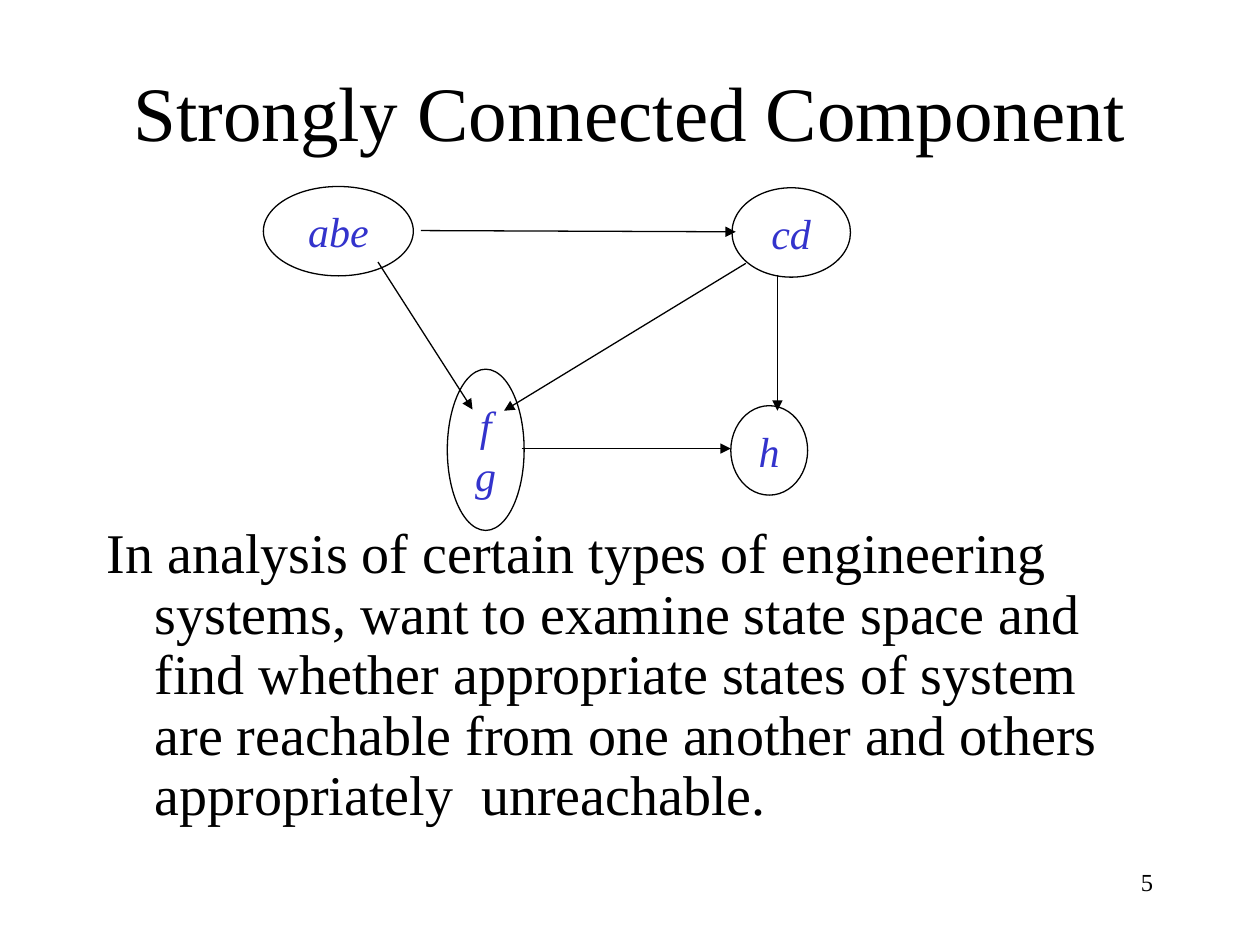
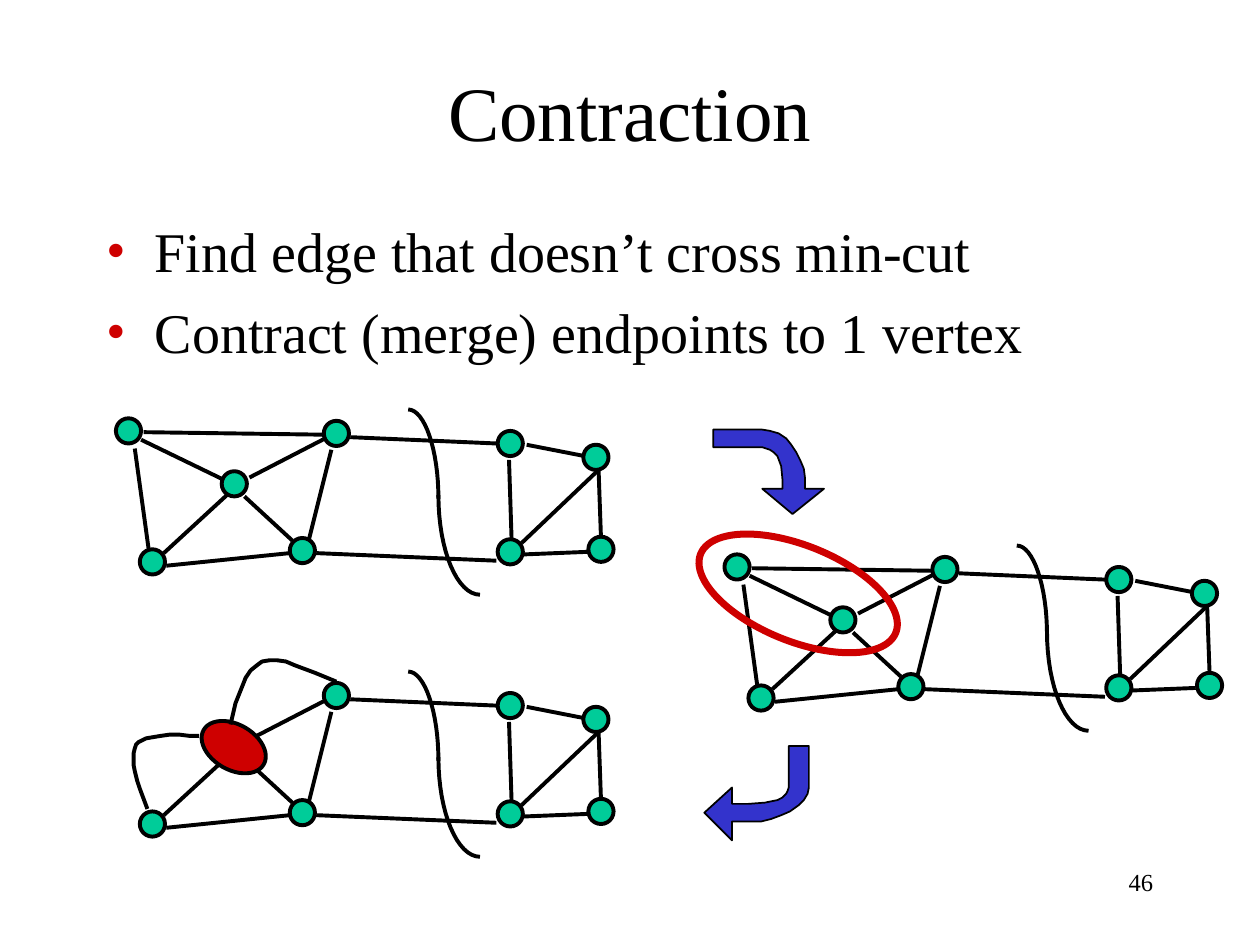
from dataclasses import dataclass

from lxml import etree
from pptx import Presentation
from pptx.dml.color import RGBColor
from pptx.enum.shapes import MSO_CONNECTOR, MSO_SHAPE
from pptx.enum.text import MSO_ANCHOR, PP_ALIGN
from pptx.oxml.ns import qn
from pptx.util import Emu, Pt

OVAL, STRAIGHT = MSO_SHAPE.OVAL, MSO_CONNECTOR.STRAIGHT
LEFT, CENTER, RIGHT = PP_ALIGN.LEFT, PP_ALIGN.CENTER, PP_ALIGN.RIGHT
TOP, MIDDLE = MSO_ANCHOR.TOP, MSO_ANCHOR.MIDDLE
EMU_PER_PX = 9144  # 100 px to the inch


@dataclass(frozen=True)
class Theme:
    font: str = "Times New Roman"
    black: str = "000000"
    blue: str = "3333CC"
    red: str = "CE0000"
    green: str = "00CC99"
    title: int = 44
    body: int = 32
    label: int = 24
    number: int = 14
    thin: float = 0.75
    outline: float = 1
    thick: float = 2.25
    ring: float = 4


THEME = Theme()
SLIDE_SIZE = (1000, 750)
TITLE_BOX = (75, 25, 850, 125)
NUMBER_BOX = (717, 683, 208, 50)
HANGING = 38

COMPONENTS = {
    "title": "Strongly Connected Component",
    "number": "5",
    "body_box": (75, 412, 850, 255),
    "body": ["In analysis of certain types of engineering systems, want to examine "
             "state space and find whether appropriate states of system are reachable "
             "from one another and others appropriately  unreachable."],
    "states": [("abe", (209, 148, 119, 71)), ("fg", (355, 293, 61, 128)),
               ("cd", (581, 149, 94, 71)), ("h", (580, 322, 61, 71))],
    "arrows": [(334, 183, 584, 184), (300, 208, 375, 325), (592, 209, 400, 326),
               (617, 218, 617, 326), (414, 356, 580, 356)],
}

CONTRACTION = {
    "title": "Contraction",
    "number": "46",
    "body_box": (75, 167, 850, 500),
    "body": ["Find edge that doesn’t cross min-cut",
             "Contract (merge) endpoints to 1 vertex"],
}

# Left and top of each vertex in the first graph
VERTEX_SIZE = 20
VERTICES = {
    "outer": (92, 332), "hub": (176, 374), "low": (111, 436),
    "inner": (230, 427), "high": (257, 334), "cut_top": (395, 342),
    "cut_low": (395, 428), "far_top": (463, 353), "far_low": (467, 426),
}
EDGES = [
    ("outer", "hub", (112, 349, 176, 380)),
    ("outer", "low", (107, 356, 118, 436)),
    ("outer", "high", (114, 343, 258, 345)),
    ("low", "inner", (132, 449, 230, 439)),
    ("hub", "inner", (194, 394, 232, 429)),
    ("inner", "high", (245, 429, 263, 357)),
    ("high", "hub", (258, 348, 198, 379)),
    ("hub", "low", (180, 393, 130, 439)),
    ("high", "cut_top", (278, 347, 394, 352)),
    ("cut_top", "far_top", (418, 353, 464, 362)),
    ("far_top", "cut_low", (474, 374, 414, 431)),
    ("cut_top", "cut_low", (404, 365, 406, 427)),
    ("cut_low", "inner", (394, 445, 251, 439)),
    ("cut_low", "far_low", (416, 440, 466, 438)),
    ("far_low", "far_top", (477, 427, 475, 371)),
]
MIN_CUT = [
    [(324, 325), (337, 325), (348, 357), (348, 396)],
    [(381, 472), (363, 472), (348, 437), (348, 393)],
]
# Offset of each graph, and the vertices merged away in it
GRAPHS = [((483, 108), ()), ((0, 0), ()), ((0, 208), ("outer", "hub"))]

CHOSEN_EDGE = ((550, 433, 167, 76), 22)
MERGED_VERTEX = ((158, 575, 55, 36), 30)
REROUTED_EDGES = [
    [(117, 642), (114, 634), (111, 626), (109, 620), (107, 612), (106, 607), (106, 598),
     (107, 594), (108, 591), (110, 589), (112, 588), (116, 586), (122, 585), (128, 584),
     (135, 583), (142, 583), (150, 584), (158, 584)],
    [(267, 541), (250, 534), (234, 528), (227, 525), (220, 524), (214, 524), (208, 525),
     (204, 528), (199, 532), (195, 538), (193, 543), (187, 558), (183, 575)],
]
STEP_ARROWS = [
    [(629, 408), (654, 388), (639, 388), (639, 380), (638, 372), (635, 365), (632, 359),
     (628, 353), (624, 348), (618, 344), (611, 342), (605, 341), (566, 341), (566, 355),
     (605, 355), (608, 356), (611, 357), (614, 359), (617, 362), (620, 370), (621, 380),
     (621, 388), (605, 388)],
    [(559, 645), (581, 667), (581, 652), (594, 652), (604, 652), (612, 650), (620, 647),
     (627, 644), (634, 639), (638, 635), (641, 630), (642, 625), (642, 592), (626, 592),
     (626, 625), (625, 628), (624, 630), (621, 633), (617, 635), (607, 637), (594, 638),
     (581, 638), (581, 625)],
]


def px(length):
    return Emu(round(length * EMU_PER_PX))


def color(code):
    return RGBColor.from_string(code)


def write(frame, paragraphs, size, ink=THEME.black, align=LEFT, anchor=TOP, italic=False,
          hanging=False, bullet=None, spacing=None, before=0):
    frame.word_wrap = True
    frame.vertical_anchor = anchor
    for index, text in enumerate(paragraphs):
        para = frame.add_paragraph() if index else frame.paragraphs[0]
        para.alignment = align
        para.space_before = Pt(before)
        if spacing:
            para.line_spacing = spacing
        if hanging:
            props = para._p.get_or_add_pPr()
            props.set("marL", str(px(HANGING)))
            props.set("indent", str(-px(HANGING)))
        if bullet:
            add_bullet(para, bullet)
        span = para.add_run()
        span.text = text
        span.font.name = THEME.font
        span.font.size = Pt(size)
        span.font.italic = italic
        span.font.color.rgb = color(ink)


def add_bullet(para, ink):
    props = para._p.get_or_add_pPr()
    shade = etree.SubElement(props, qn("a:buClr"))
    etree.SubElement(shade, qn("a:srgbClr"), val=ink)
    etree.SubElement(props, qn("a:buFont"), typeface=THEME.font)
    etree.SubElement(props, qn("a:buChar"), char="•")


def add_text(page, bounds, paragraphs, size, **style):
    box = page.shapes.add_textbox(*map(px, bounds))
    write(box.text_frame, paragraphs, size, **style)


def paint(shape, width, fill=None, line=THEME.black):
    shape.shadow.inherit = False
    if fill:
        shape.fill.solid()
        shape.fill.fore_color.rgb = color(fill)
    else:
        shape.fill.background()
    shape.line.color.rgb = color(line)
    shape.line.width = Pt(width)


def add_oval(page, bounds, width, rotation=0, **style):
    oval = page.shapes.add_shape(OVAL, *map(px, bounds))
    oval.rotation = rotation
    paint(oval, width, **style)
    return oval


def add_line(page, ends, width, arrow=False):
    line = page.shapes.add_connector(STRAIGHT, *map(px, ends))
    line.line.color.rgb = color(THEME.black)
    line.line.width = Pt(width)
    if arrow:
        etree.SubElement(line.line._get_or_add_ln(), qn("a:tailEnd"), type="triangle")
    etree.SubElement(line._element.spPr, qn("a:effectLst"))


def add_outline(page, points, width, close=False, **style):
    start, *rest = [(px(x), px(y)) for x, y in points]
    builder = page.shapes.build_freeform(*start, scale=1.0)
    builder.add_line_segments(rest, close=close)
    paint(builder.convert_to_shape(), width, **style)


def bezier(controls, steps=16):
    """Return points along a cubic curve with four control points."""
    points = []
    for step in range(steps + 1):
        t = step / steps
        weights = ((1 - t) ** 3, 3 * t * (1 - t) ** 2, 3 * t * t * (1 - t), t ** 3)
        points.append(tuple(sum(w * c for w, c in zip(weights, axis))
                            for axis in zip(*controls)))
    return points


def add_graph(page, offset, merged):
    """Draw the graph moved by offset, without merged vertices and lost edges."""
    dx, dy = offset
    for start, end, (x1, y1, x2, y2) in EDGES:
        if not merged or "outer" not in (start, end):
            add_line(page, (x1 + dx, y1 + dy, x2 + dx, y2 + dy), THEME.thick)
    for controls in MIN_CUT:
        moved = [(x + dx, y + dy) for x, y in controls]
        add_outline(page, bezier(moved), THEME.thick)
    for name, (x, y) in VERTICES.items():
        if name not in merged:
            add_oval(page, (x + dx, y + dy, VERTEX_SIZE, VERTEX_SIZE), THEME.thick,
                     fill=THEME.green)


def add_page(deck, content, **body_style):
    page = deck.slides.add_slide(deck.slide_layouts[6])
    add_text(page, TITLE_BOX, [content["title"]], THEME.title, align=CENTER, anchor=MIDDLE)
    add_text(page, content["body_box"], content["body"], THEME.body, hanging=True,
             before=8, **body_style)
    add_text(page, NUMBER_BOX, [content["number"]], THEME.number, align=RIGHT)
    return page


def add_components_page(deck):
    page = add_page(deck, COMPONENTS, spacing=0.9)
    for name, bounds in COMPONENTS["states"]:
        oval = add_oval(page, bounds, THEME.thin)
        write(oval.text_frame, [name], THEME.label, ink=THEME.blue, align=CENTER,
              anchor=MIDDLE, italic=True)
    for ends in COMPONENTS["arrows"]:
        add_line(page, ends, THEME.thin, arrow=True)


def add_contraction_page(deck):
    page = add_page(deck, CONTRACTION, bullet=THEME.red)
    for offset, merged in GRAPHS:
        add_graph(page, offset, merged)
    bounds, rotation = CHOSEN_EDGE
    add_oval(page, bounds, THEME.ring, rotation, line=THEME.red)
    bounds, rotation = MERGED_VERTEX
    add_oval(page, bounds, THEME.thick, rotation, fill=THEME.red)
    for points in REROUTED_EDGES:
        add_outline(page, points, THEME.thick)
    for points in STEP_ARROWS:
        add_outline(page, points, THEME.outline, close=True, fill=THEME.blue)


def main():
    deck = Presentation()
    deck.slide_width, deck.slide_height = map(px, SLIDE_SIZE)
    add_components_page(deck)
    add_contraction_page(deck)
    deck.save("out.pptx")


if __name__ == "__main__":
    main()
